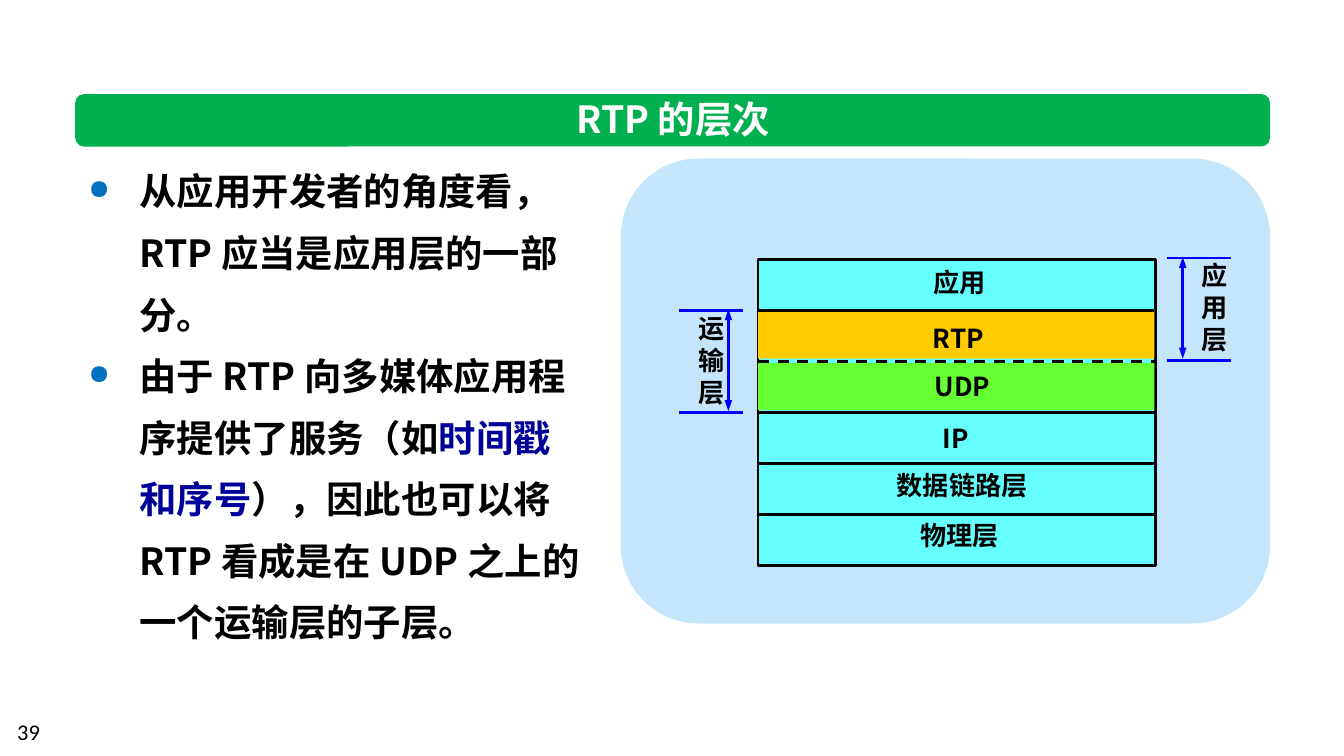
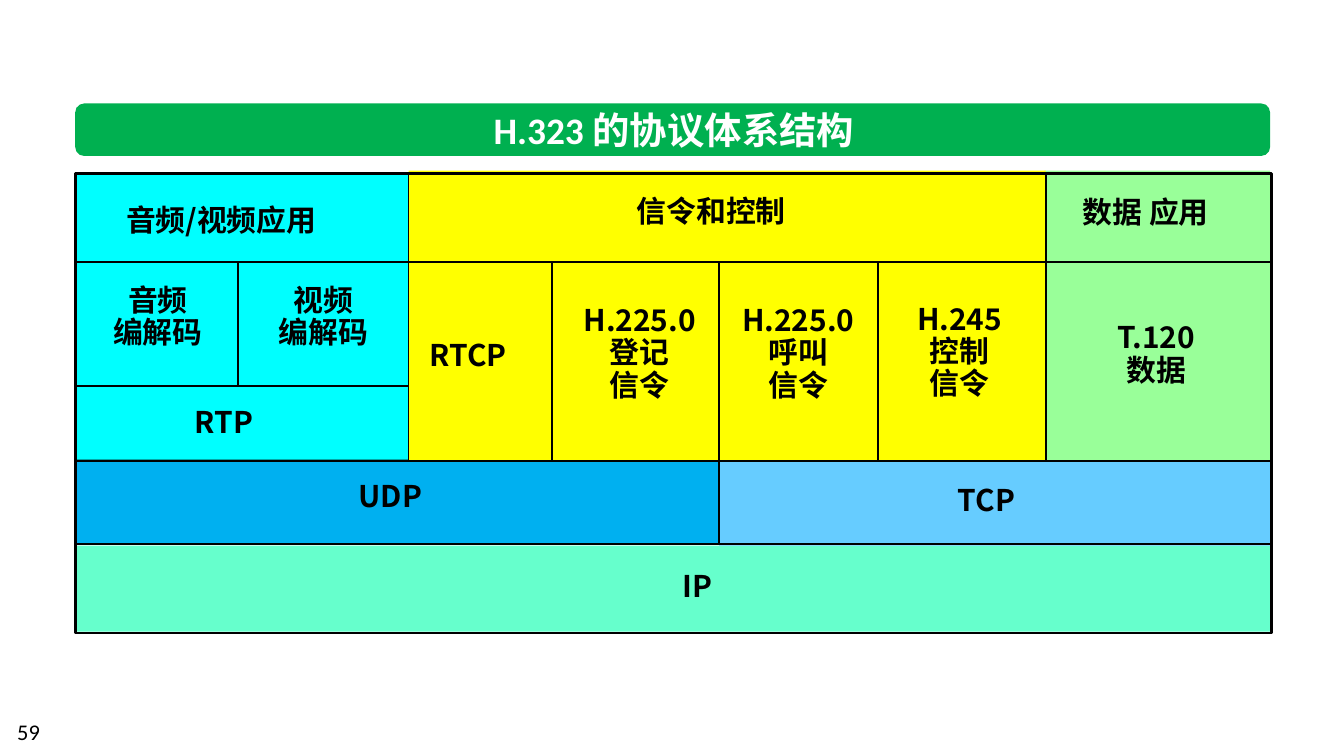
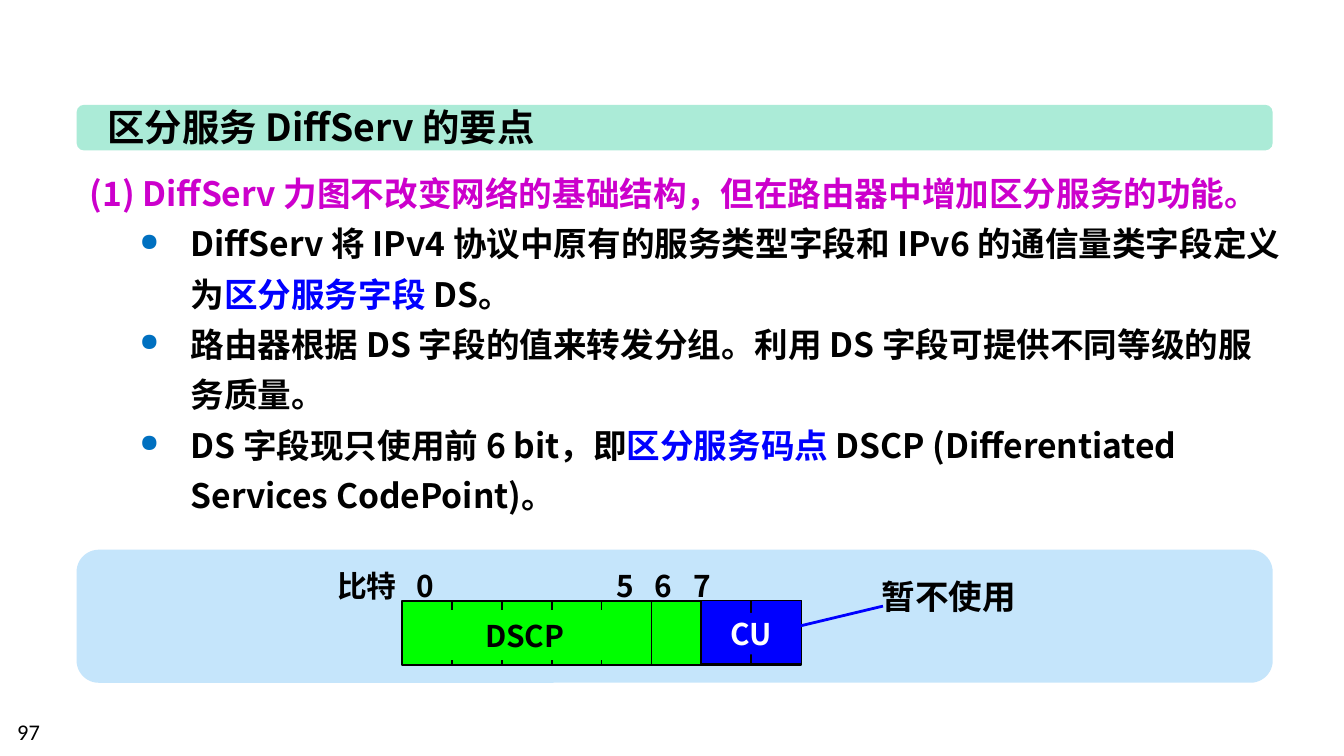
from dataclasses import dataclass

from lxml import etree
from pptx import Presentation
from pptx import util as u
from pptx.dml.color import RGBColor
from pptx.enum import dml, shapes, text
from pptx.oxml import ns

PX = 9144


@dataclass(frozen=True)
class Theme:
    cjk: str = "Noto Sans CJK SC"
    latin: str = "Calibri"
    black: str = "000000"
    white: str = "FFFFFF"
    blue: str = "0000FF"
    navy: str = "000099"
    magenta: str = "CC00CC"
    bullet: str = "0070C0"
    title_bar: str = "00B050"
    mint_bar: str = "ABEBD7"
    panel: str = "C5E5FB"
    cyan: str = "66FFFF"
    amber: str = "FFCC00"
    lime: str = "66FF33"
    aqua: str = "00FFFF"
    yellow: str = "FFFF00"
    pale_green: str = "99FF99"
    sky: str = "66CCFF"
    azure: str = "00B0F0"
    sea: str = "66FFCC"
    green: str = "00FF00"
    title: int = 20
    body: int = 18
    cell: int = 16
    label: int = 14
    footer: int = 12
    leading: float = 1.22


T = Theme()

RTP_POINTS = [
    (38, ["从应用开发者的角度看，RTP 应当是应用层的一部分。"]),
    (38, ["由于 RTP 向多媒体应用程序提供了服务（如", ("时间戳和序号", T.navy),
          "），因此也可以将 RTP 看成是在 UDP 之上的一个运输层的子层。"]),
]
LAYERS = [("应用", 714, 193), ("RTP", 713, 234), ("UDP", 716, 270),
          ("IP", 711, 309), ("数据链路层", 716, 344), ("物理层", 714, 381)]
STACK_X, STACK_Y, STACK_W, LAYER_H = 564, 193, 295, 38
LABEL_W = 118
BRACKETS = [("运输层", 505, 231, 542, (510, 29)),
            ("应用层", 868, 192, 880, (884, 26))]

H323_AREAS = [
    ((56, 406, 890, 64), T.sea, None),
    ((535, 343, 411, 63), T.sky, None),
    ((56, 342, 479, 63), T.azure, 0.75),
    ((56, 129, 248, 213), T.aqua, None),
    ((777, 127, 168, 216), T.pale_green, None),
    ((304, 127, 474, 216), T.yellow, None),
    ((56, 129, 890, 342), None, 1.5),
]
H323_ROWS = [(195, 56, 946), (287, 56, 304), (343, 56, 946), (405, 56, 946)]
H323_COLUMNS = [(177, 195, 287), (304, 129, 343), (411, 195, 343),
                (535, 195, 405), (653, 195, 343), (778, 129, 343)]
H323_LABELS = [
    (["音频/视频应用"], 84, 145, 237),
    (["信令和控制"], 464, 138, 141),
    (["数据 应用"], 796, 139, 124),
    (["音频", "编解码"], 71, 207, 93),
    (["视频", "编解码"], 194, 207, 93),
    (["RTCP"], 310, 245, 83),
    (["H.225.0", "登记", "信令"], 419, 222, 114),
    (["H.225.0", "呼叫", "信令"], 537, 222, 114),
    (["H.245", "控制", "信令"], 668, 221, 92),
    (["T.120", "数据"], 818, 235, 85),
    (["RTP"], 135, 295, 68),
    (["UDP"], 257, 350, 75),
    (["TCP"], 703, 353, 67),
    (["IP"], 498, 417, 45),
]

DIFFSERV_POINTS = [
    (0, [("(1) DiffServ 力图不改变网络的基础结构，但在路由器中增加区分服务的功能。", T.magenta)]),
    (75, ["DiffServ 将 IPv4 协议中原有的服务类型字段和 IPv6 的通信量类字段定义为",
          ("区分服务字段 ", T.blue), "DS。"]),
    (75, ["路由器根据 DS 字段的值来转发分组。利用 DS 字段可提供不同等级的服务质量。"]),
    (75, ["DS 字段现只使用前 6 bit，即", ("区分服务码点 ", T.blue),
          "DSCP (Differentiated Services CodePoint)。"]),
]
BIT_RULER = "比特\t0\t5\t6\t7"
BIT_TABS = [59, 208, 236, 265]
BITS_X, BITS_Y, BIT_W, BITS_H = 299, 447, 37.15, 48


def px(*values):
    return [u.Emu(round(v * PX)) for v in values]


def rgb(color):
    return RGBColor.from_string(color)


def add(parent, tag, **attrs):
    return etree.SubElement(parent, ns.qn(tag), {k: str(v) for k, v in attrs.items()})


def write(sp, paras, size=T.cell, color=T.black, font=T.cjk, bold=True, align="LEFT",
          anchor="TOP", wrap=False, grow=True, leading=None, tabs=(), left=10):
    tf = sp.text_frame
    tf.word_wrap = wrap
    tf.auto_size = text.MSO_AUTO_SIZE.SHAPE_TO_FIT_TEXT if grow else text.MSO_AUTO_SIZE.NONE
    tf.vertical_anchor = getattr(text.MSO_ANCHOR, anchor)
    tf.margin_left, = px(left)
    for i, para in enumerate(paras):
        indent, runs = para if isinstance(para, tuple) else (0, [para])
        p = tf.paragraphs[0] if i == 0 else tf.add_paragraph()
        p.alignment = getattr(text.PP_ALIGN, align)
        p.line_spacing = u.Pt(leading or size * T.leading)
        pPr = p._p.get_or_add_pPr()
        if indent:
            pPr.set("marL", str(indent * PX))
            pPr.set("indent", str(-38 * PX))
            add(add(pPr, "a:buClr"), "a:srgbClr", val=T.bullet)
            add(pPr, "a:buSzPct", val=73000)
            add(pPr, "a:buChar", char="●")
        if tabs:
            stops = add(pPr, "a:tabLst")
            for pos in tabs:
                add(stops, "a:tab", pos=pos * PX, algn="l")
        for run in runs:
            words, tint = run if isinstance(run, tuple) else (run, color)
            r = p.add_run()
            r.text = words
            r.font.size, r.font.bold, r.font.name = u.Pt(size), bold, font
            r.font.color.rgb = rgb(tint)
            add(r._r.get_or_add_rPr(), "a:ea", typeface=T.cjk)


def text_box(s, box, paras, **fmt):
    write(s.shapes.add_textbox(*px(*box)), paras, **fmt)


def block(s, box, fill=None, line=None, rounded=None):
    kind = shapes.MSO_SHAPE.RECTANGLE if rounded is None else shapes.MSO_SHAPE.ROUNDED_RECTANGLE
    sp = s.shapes.add_shape(kind, *px(*box))
    sp.shadow.inherit = False
    if rounded is not None:
        sp.adjustments[0] = rounded
    if fill:
        sp.fill.solid()
        sp.fill.fore_color.rgb = rgb(fill)
    else:
        sp.fill.background()
    if line:
        sp.line.color.rgb = rgb(T.black)
        sp.line.width = u.Pt(line)
    else:
        sp.line.fill.background()
    return sp


def rule(s, x1, y1, x2, y2, color=T.black, width=1.0, dash=False, arrows=()):
    c = s.shapes.add_connector(shapes.MSO_CONNECTOR.STRAIGHT, *px(x1, y1, x2, y2))
    c.line.color.rgb = rgb(color)
    c.line.width = u.Pt(width)
    if dash:
        c.line.dash_style = dml.MSO_LINE.DASH
    for end in arrows:
        add(c.line._get_or_add_ln(), end, type="triangle", w="sm", len="med")
    add(c._element.spPr, "a:effectLst")


def titled_slide(prs, title, number, bar, box, fill=T.title_bar, **fmt):
    s = prs.slides.add_slide(prs.slide_layouts[6])
    block(s, bar, fill, rounded=0.167)
    text_box(s, box, [title], size=T.title, **fmt)
    text_box(s, (3, 529, 233, 30), [number], size=T.footer, font=T.latin,
             bold=False, wrap=True, grow=False)
    return s


def rtp_slide(prs):
    s = titled_slide(prs, "RTP 的层次", "39", (56, 70, 889, 39), (413, 66, 176, 44),
                     color=T.white, align="CENTER")
    block(s, (462, 118, 483, 346), T.panel, rounded=0.167)
    text_box(s, (56, 108, 390, 380), RTP_POINTS, size=T.title, leading=33, wrap=True)
    for name, x, y, arrow_x, (label_x, label_w) in BRACKETS:
        rule(s, arrow_x, y - 1, arrow_x, y + 75, T.blue, 1.5,
             arrows=("a:headEnd", "a:tailEnd"))
        for edge in (y, y + 2 * LAYER_H):
            rule(s, x, edge, x + 48, edge, T.blue, 1.5)
        text_box(s, (label_x, y - 4, label_w, 81), [name], size=T.label, align="CENTER",
                 anchor="MIDDLE", wrap=True)
    block(s, (STACK_X, STACK_Y, STACK_W + 1, LAYER_H * len(LAYERS)), T.cyan, 1.5)
    block(s, (STACK_X, 230, STACK_W, 37), T.amber)
    block(s, (STACK_X, 270, STACK_W, 35), T.lime)
    for i in range(1, len(LAYERS)):
        y = STACK_Y + i * LAYER_H
        rule(s, STACK_X, y, STACK_X + STACK_W, y, width=1.5, dash=i == 2)
    for name, center, y in LAYERS:
        text_box(s, (center - LABEL_W / 2, y, LABEL_W, 34), [name], size=T.label,
                 align="CENTER", anchor="MIDDLE")


def h323_slide(prs):
    s = titled_slide(prs, "H.323 的协议体系结构", "59", (56, 77, 889, 39), (353, 74, 297, 44),
                     color=T.white, font=T.latin, align="CENTER")
    for box, fill, line in H323_AREAS:
        block(s, box, fill, line)
    for y, x1, x2 in H323_ROWS:
        rule(s, x1, y, x2, y)
    for x, y1, y2 in H323_COLUMNS:
        rule(s, x, y1, x, y2)
    for lines, x, y, w in H323_LABELS:
        many = len(lines) > 1
        text_box(s, (x, y, w, 13 + 25 * len(lines)), lines, wrap=not many,
                 align="CENTER" if many else "LEFT", leading=17.4 if many else None)


def diffserv_slide(prs):
    s = titled_slide(prs, "区分服务 DiffServ 的要点", "97", (57, 78, 890, 34),
                     (70, 72, 357, 44), fill=T.mint_bar)
    block(s, (57, 409, 890, 99), T.panel, rounded=0.167)
    text_box(s, (57, 116, 906, 272), DIFFSERV_POINTS, size=T.body, leading=27, wrap=True)
    block(s, (BITS_X, BITS_Y, 8 * BIT_W, BITS_H), T.green, 1)
    block(s, (BITS_X + 6 * BIT_W, BITS_Y, 2 * BIT_W, BITS_H - 1), T.blue, 0.75)
    for i in range(1, 8):
        x = BITS_X + i * BIT_W
        rule(s, x, BITS_Y, x, BITS_Y + BITS_H)
    write(block(s, (534, 456, 49, 31), T.blue), ["CU"], color=T.white,
          anchor="MIDDLE", grow=False)
    write(block(s, (320, 454, 161, 37), T.green), ["DSCP"], left=41, wrap=True)
    text_box(s, (241, 417, 399, 37), [BIT_RULER], tabs=BIT_TABS, wrap=True)
    rule(s, 657, 451, 586, 468, T.blue, 1.5, arrows=("a:tailEnd",))
    text_box(s, (646, 423, 121, 40), ["暂不使用"], size=T.body)


def main():
    prs = Presentation()
    prs.slide_width, prs.slide_height = px(1000, 1000 * 9 / 16)
    for build in (rtp_slide, h323_slide, diffserv_slide):
        build(prs)
    prs.save("out.pptx")


if __name__ == "__main__":
    main()
